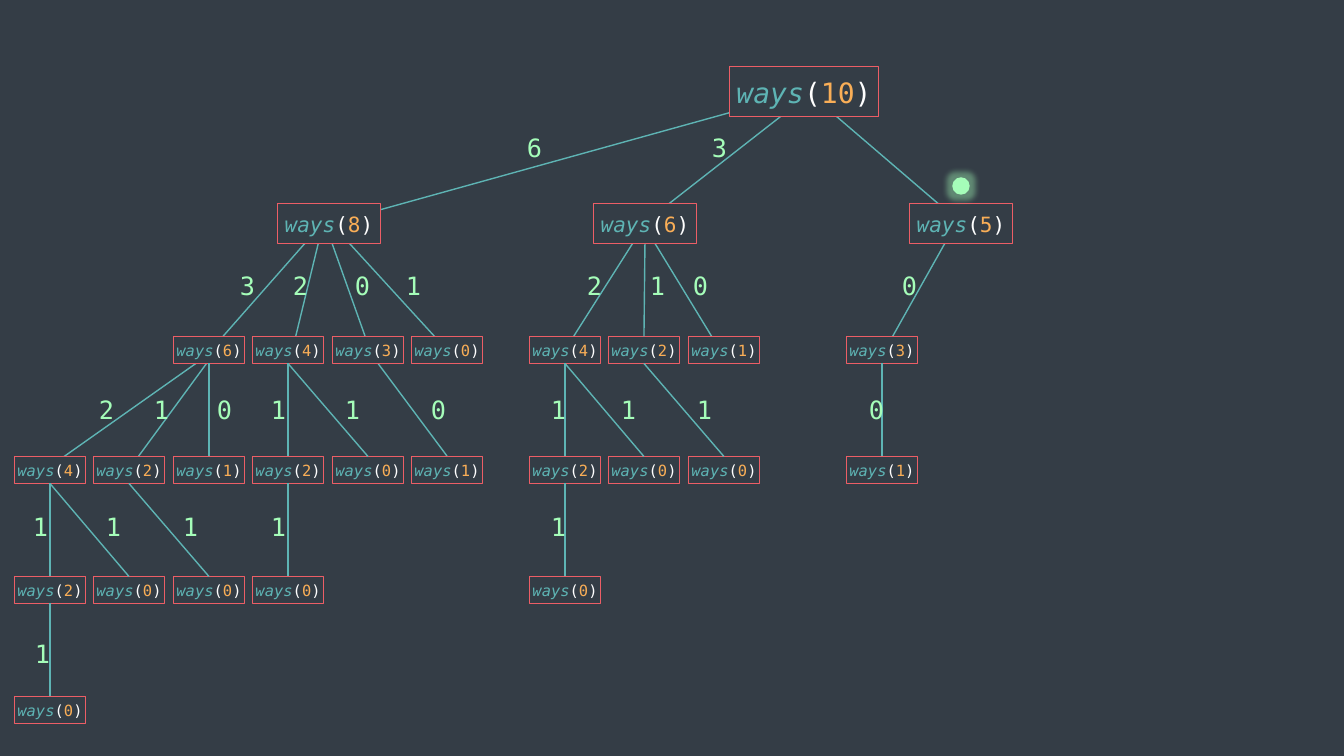
import pptx
import pptx.util
import pptx.dml.color
import pptx.enum.shapes
import pptx.enum.text
import pptx.oxml

CALLS = {
    "10": (0, "", 0, None),
    "10-8": (0, "6", 517, (0, 0, 0, 0)),
    "10-6": (0, "3", 702, (8, 0, -2, 0)),
    "10-5": (0, "", 0, (4, 0, 1, 0)),
    "10-8-6": (2, "3", 230, (-7, 0, 2, 0)),
    "10-8-4": (3, "2", 283, (-6, 0, 1, 14)),
    "10-8-3": (4, "0", 345, (-1, 8, 2, 0)),
    "10-8-0": (5, "1", 396, (-1, -4, 0, 0)),
    "10-6-4": (0, "2", 577, (0, 0, 0, 0)),
    "10-6-2": (1, "1", 640, None),
    "10-6-1": (2, "0", 683, (0, 3, -4, 0)),
    "10-5-3": (0, "0", 892, (-3, -4, 3, 0)),
    "10-8-6-4": (0, "2", 89, (6, 0, -5, 0)),
    "10-8-6-2": (1, "1", 144, (6, 2, -2, 2)),
    "10-8-6-1": (2, "0", 207, None),
    "10-8-4-2": (3, "1", 261, None),
    "10-8-4-0": (4, "1", 335, None),
    "10-8-3-1": (5, "0", 421, (0, 0, 0, -14)),
    "10-6-4-2": (0, "1", 541, None),
    "10-6-4-0": (1, "1", 611, None),
    "10-6-2-0": (2, "1", 687, None),
    "10-5-3-1": (0, "0", 859, None),
    "10-8-6-4-2": (0, "1", 23, None),
    "10-8-6-4-0": (1, "1", 96, None),
    "10-8-6-2-0": (2, "1", 173, None),
    "10-8-4-2-0": (3, "1", 261, None),
    "10-6-4-2-0": (0, "1", 541, None),
    "10-8-6-4-2-0": (0, "1", 25, None),
}
BRANCH_CENTRES = {"8": 329, "6": 645, "5": 961}
BRANCH_STARTS = {"8": 50, "6": 565, "5": 882}
ROOT_CENTRE = 804
ROW_CENTRES = [92, 224, 350, 470, 590, 710]
LABEL_TOPS = [0, 127, 265, 389, 506, 633]
BOX_SIZES = [(149, 50), (103, 40), (71, 27)]
LABEL_SIZE = (25, 40)
MARKER = (953, 178, 16, 16)
TWO_COLUMNS = 159

THEME = {
    "font": "DejaVu Sans Mono",
    "background": "343D46",
    "name": "5EB4B4",
    "bracket": "FFFFFF",
    "number": "F9AE57",
    "border": "EC5E66",
    "result": "A5FDB9",
    "call_sizes": [20, 15, 11],
    "result_size": 18,
}


def px(length):
    return round(length * 914400 / 100.8)


def colour(role):
    return pptx.dml.color.RGBColor.from_string(THEME[role])


def add_effects(properties, glow=""):
    namespace = "http://schemas.openxmlformats.org/drawingml/2006/main"
    effects = f'<a:effectLst xmlns:a="{namespace}">{glow}</a:effectLst>'
    properties.append(pptx.oxml.parse_xml(effects))


def write(paragraph, text, *, size, role, italic=False):
    paragraph.alignment = pptx.enum.text.PP_ALIGN.CENTER
    run = paragraph.add_run()
    run.text = text
    run.font.name = THEME["font"]
    run.font.size = pptx.util.Pt(size)
    run.font.italic = italic
    run.font.color.rgb = colour(role)


def parent_of(call):
    return call.rpartition("-")[0]


def centre(call):
    steps = call.split("-")
    row = len(steps) - 1
    if row == 0:
        x = ROOT_CENTRE
    elif row == 1:
        x = BRANCH_CENTRES[steps[1]]
    else:
        x = BRANCH_STARTS[steps[1]] + TWO_COLUMNS * CALLS[call][0] // 2
    return x, ROW_CENTRES[row]


def add_branch(slide, start, end):
    branch = slide.shapes.add_connector(
        pptx.enum.shapes.MSO_CONNECTOR.STRAIGHT, *map(px, start + end))
    branch.line.color.rgb = colour("name")
    branch.line.width = pptx.util.Pt(1)
    add_effects(branch._element.spPr)
    return branch


def add_shape(slide, kind, bounds, fill, line, width):
    shape = slide.shapes.add_shape(kind, *map(px, bounds))
    shape.fill.solid()
    shape.fill.fore_color.rgb = colour(fill)
    shape.line.color.rgb = colour(line)
    shape.line.width = pptx.util.Pt(width)
    return shape


def add_call(slide, call):
    level = min(call.count("-"), 2)
    width, height = BOX_SIZES[level]
    x, y = centre(call)
    box = add_shape(slide, pptx.enum.shapes.MSO_SHAPE.RECTANGLE,
                    (x - width / 2, y - height / 2, width, height),
                    "background", "border", 0.75)
    box.shadow.inherit = False
    frame = box.text_frame
    frame.margin_left = frame.margin_right = 0
    frame.margin_top = frame.margin_bottom = 0
    frame.vertical_anchor = pptx.enum.text.MSO_ANCHOR.MIDDLE
    parts = [("ways", "name"), ("(", "bracket"),
             (call.split("-")[-1], "number"), (")", "bracket")]
    for text, role in parts:
        write(frame.paragraphs[0], text, size=THEME["call_sizes"][level],
              role=role, italic=role == "name")
    return box


def add_result(slide, text, left, top):
    result = slide.shapes.add_textbox(*map(px, (left, top) + LABEL_SIZE))
    frame = result.text_frame
    frame.word_wrap = True
    frame.auto_size = pptx.enum.text.MSO_AUTO_SIZE.SHAPE_TO_FIT_TEXT
    write(frame.paragraphs[0], text, size=THEME["result_size"], role="result")


def main():
    deck = pptx.Presentation()
    deck.slide_width, deck.slide_height = px(1344), px(756)
    slide = deck.slides.add_slide(deck.slide_layouts[6])
    slide.background.fill.solid()
    slide.background.fill.fore_color.rgb = colour("background")

    for call, (_, _, _, nudge) in CALLS.items():
        if nudge:
            ends = centre(parent_of(call)) + centre(call)
            ends = tuple(end + shift for end, shift in zip(ends, nudge))
            add_branch(slide, ends[:2], ends[2:])

    boxes = {call: add_call(slide, call) for call in CALLS}

    for call, (_, _, _, nudge) in CALLS.items():
        parent = parent_of(call)
        if parent and not nudge:
            branch = add_branch(slide, centre(parent), centre(call))
            branch.begin_connect(boxes[parent], 2)
            branch.end_connect(boxes[call], 0)

    marker = add_shape(slide, pptx.enum.shapes.MSO_SHAPE.OVAL, MARKER,
                       "result", "result", 1)
    add_effects(marker._element.spPr,
                f'<a:glow rad="101600"><a:srgbClr val="{THEME["result"]}">'
                '<a:alpha val="40000"/></a:srgbClr></a:glow>')

    for call, (_, text, left, _) in CALLS.items():
        if text:
            add_result(slide, text, left, LABEL_TOPS[call.count("-")])

    deck.save("out.pptx")


if __name__ == "__main__":
    main()
